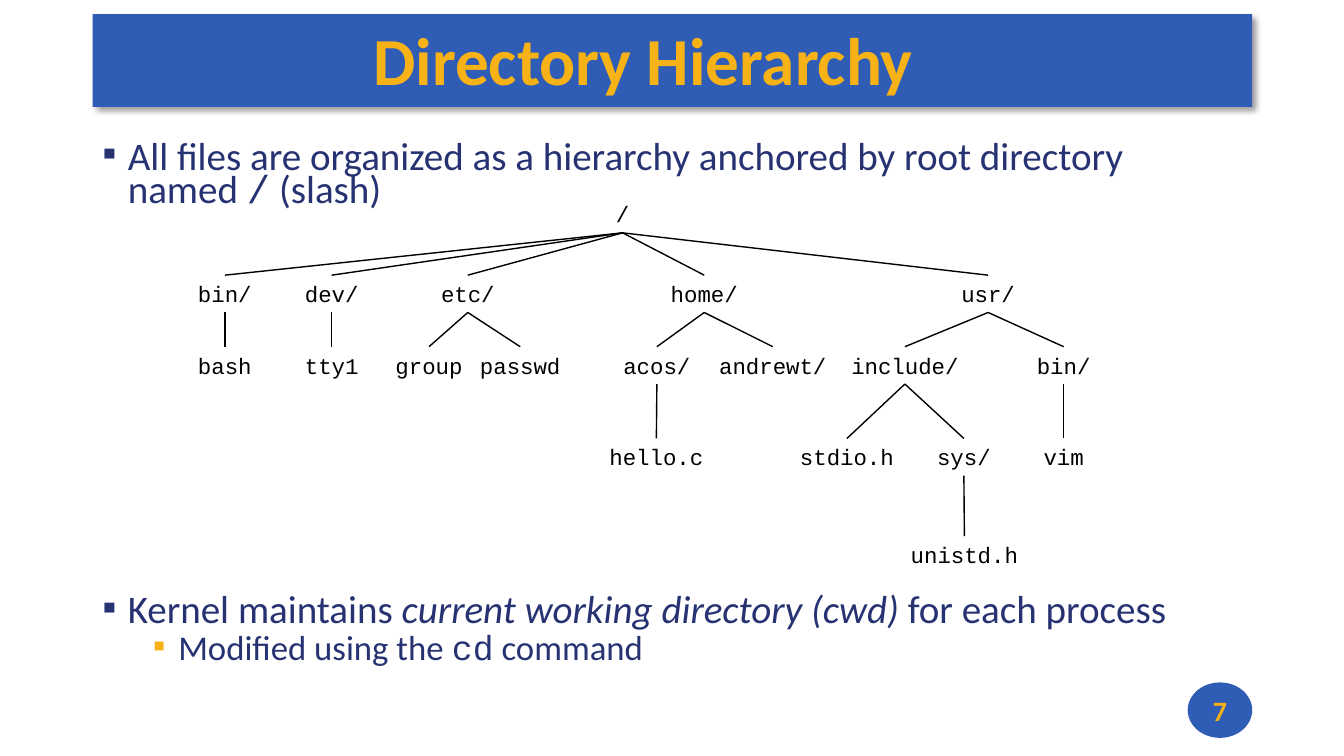
import dataclasses
import typing

import lxml.etree
import pptx
import pptx.dml.color
import pptx.enum.shapes
import pptx.enum.text
import pptx.oxml
import pptx.oxml.ns
import pptx.util

PX = 9144


@dataclasses.dataclass(frozen=True)
class Theme:
    blue: str = "2F5CB5"
    gold: str = "F7B217"
    navy: str = "273272"
    black: str = "000000"
    sans: str = "Calibri"
    mono: str = "Courier New"
    title: float = 48
    body: float = 27.9
    detail: float = 24.8
    number: float = 20
    node: float = 16


class Box(typing.NamedTuple):
    left: int
    top: int
    width: int
    height: int

    def emu(self):
        return [pptx.util.Emu(length * PX) for length in self]


class Node(typing.NamedTuple):
    name: str
    center: int
    children: tuple = ()


THEME = Theme()
ROW_TOPS = (194, 273, 344, 435, 532)
TREE = Node("/", 617, (
    Node("bin/", 223, (Node("bash", 223),)),
    Node("dev/", 329, (Node("tty1", 329),)),
    Node("etc/", 464, (Node("group", 425), Node("passwd", 516))),
    Node("home/", 698, (
        Node("acos/", 651, (Node("hello.c", 651),)),
        Node("andrewt/", 766),
    )),
    Node("usr/", 980, (
        Node("include/", 897, (
            Node("stdio.h", 840),
            Node("sys/", 956, (Node("unistd.h", 956),)),
        )),
        Node("bin/", 1055, (Node("vim", 1055),)),
    )),
))


def rgb(color):
    return pptx.dml.color.RGBColor.from_string(color)


def add_span(para, text, size, color, font=THEME.sans, bold=False, italic=False):
    span = para.add_run()
    span.text = text
    span.font.size = pptx.util.Pt(size)
    span.font.color.rgb = rgb(color)
    span.font.name = font
    span.font.bold = bold
    span.font.italic = italic


def set_frame(frame, insets, wrap=True, anchor=pptx.enum.text.MSO_ANCHOR.TOP):
    frame.auto_size = pptx.enum.text.MSO_AUTO_SIZE.NONE
    frame.word_wrap = wrap
    frame.vertical_anchor = anchor
    left, top, right, bottom = [pptx.util.Emu(inset * PX) for inset in insets]
    frame.margin_left, frame.margin_top = left, top
    frame.margin_right, frame.margin_bottom = right, bottom


def add_filled(page, kind, box):
    shape = page.shapes.add_shape(kind, *box.emu())
    shape.shadow.inherit = False
    shape.fill.solid()
    shape.fill.fore_color.rgb = rgb(THEME.blue)
    shape.line.fill.background()
    return shape


def add_title(page, text, box):
    banner = add_filled(page, pptx.enum.shapes.MSO_SHAPE.RECTANGLE, box)
    effects = banner._element.spPr.find(pptx.oxml.ns.qn("a:effectLst"))
    effects.append(pptx.oxml.parse_xml(
        f'<a:outerShdw {pptx.oxml.ns.nsdecls("a")} blurRad="50800" dist="38100" dir="2700000">'
        f'<a:srgbClr val="{THEME.black}"><a:alpha val="40000"/></a:srgbClr></a:outerShdw>'))
    title = page.shapes.title
    title._element.addprevious(banner._element)
    title.left, title.top, title.width, title.height = box._replace(top=box.top - 2).emu()
    set_frame(title.text_frame, (8, 3, 66, 3), anchor=pptx.enum.text.MSO_ANCHOR.MIDDLE)
    para = title.text_frame.paragraphs[0]
    para.alignment = pptx.enum.text.PP_ALIGN.CENTER
    add_span(para, text, THEME.title, THEME.gold, bold=True)


def set_bullet(para, indent, color):
    properties = para._p.get_or_add_pPr()
    properties.set("marL", str(indent * PX))
    properties.set("indent", str(-25 * PX))
    bullet_color = lxml.etree.SubElement(properties, pptx.oxml.ns.qn("a:buClr"))
    lxml.etree.SubElement(bullet_color, pptx.oxml.ns.qn("a:srgbClr"), val=color)
    lxml.etree.SubElement(properties, pptx.oxml.ns.qn("a:buFont"), typeface=THEME.sans)
    lxml.etree.SubElement(properties, pptx.oxml.ns.qn("a:buChar"), char="▪")


def add_bullets(page, box, bullets):
    frame = page.shapes.add_textbox(*box.emu()).text_frame
    set_frame(frame, (10, 5, 10, 5))
    for index, (level, spans) in enumerate(bullets):
        para = frame.add_paragraph() if index else frame.paragraphs[0]
        para.level = level
        set_bullet(para, (25, 75)[level], (THEME.navy, THEME.gold)[level])
        para.line_spacing = 0.7
        if index:
            para.space_before = pptx.util.Pt(5)
        for text, style in spans:
            add_span(para, text, (THEME.body, THEME.detail)[level], THEME.navy, **style)


def add_node(page, node, parent=None, depth=0):
    width = 20 + round(13.4 * len(node.name))
    box = Box(node.center - width // 2, ROW_TOPS[depth], width, 37)
    label = page.shapes.add_textbox(*box.emu())
    set_frame(label.text_frame, (0, 5, 0, 5), wrap=False)
    para = label.text_frame.paragraphs[0]
    para.alignment = pptx.enum.text.PP_ALIGN.CENTER
    add_span(para, node.name, THEME.node, THEME.black, font=THEME.mono)
    if parent is not None:
        branch = page.shapes.add_connector(pptx.enum.shapes.MSO_CONNECTOR.STRAIGHT, 0, 0, 0, 0)
        branch.begin_connect(parent, 2)
        branch.end_connect(label, 0)
        branch.line.color.rgb = rgb(THEME.black)
        branch.line.width = pptx.util.Pt(1)
        lxml.etree.SubElement(branch._element.spPr, pptx.oxml.ns.qn("a:effectLst"))
    for child in node.children:
        add_node(page, child, label, depth + 1)


def add_page_number(page, text, box):
    badge = add_filled(page, pptx.enum.shapes.MSO_SHAPE.OVAL, box)
    set_frame(badge.text_frame, (0, 0, 0, 0), wrap=False, anchor=pptx.enum.text.MSO_ANCHOR.MIDDLE)
    para = badge.text_frame.paragraphs[0]
    para.alignment = pptx.enum.text.PP_ALIGN.CENTER
    add_span(para, text, THEME.number, THEME.gold, bold=True)


def build_hierarchy_page(deck):
    page = deck.slides.add_slide(deck.slide_layouts[5])
    mono = {"font": THEME.mono}
    add_title(page, "Directory Hierarchy", Box(92, 14, 1150, 92))
    add_bullets(page, Box(92, 138, 1130, 70), [
        (0, [("All files are organized as a hierarchy anchored by root directory named ", {}),
             ("/", mono), (" (slash)", {})]),
    ])
    add_node(page, TREE)
    add_bullets(page, Box(92, 588, 1130, 80), [
        (0, [("Kernel maintains ", {}),
             ("current working directory (cwd) ", {"italic": True}),
             ("for each process", {})]),
        (1, [("Modified using the ", {}), ("cd", mono), (" command", {})]),
    ])
    add_page_number(page, "7", Box(1178, 677, 64, 55))


def main():
    deck = pptx.Presentation()
    deck.slide_width = pptx.util.Emu(1333 * PX)
    deck.slide_height = pptx.util.Emu(750 * PX)
    build_hierarchy_page(deck)
    deck.save("out.pptx")


if __name__ == "__main__":
    main()
